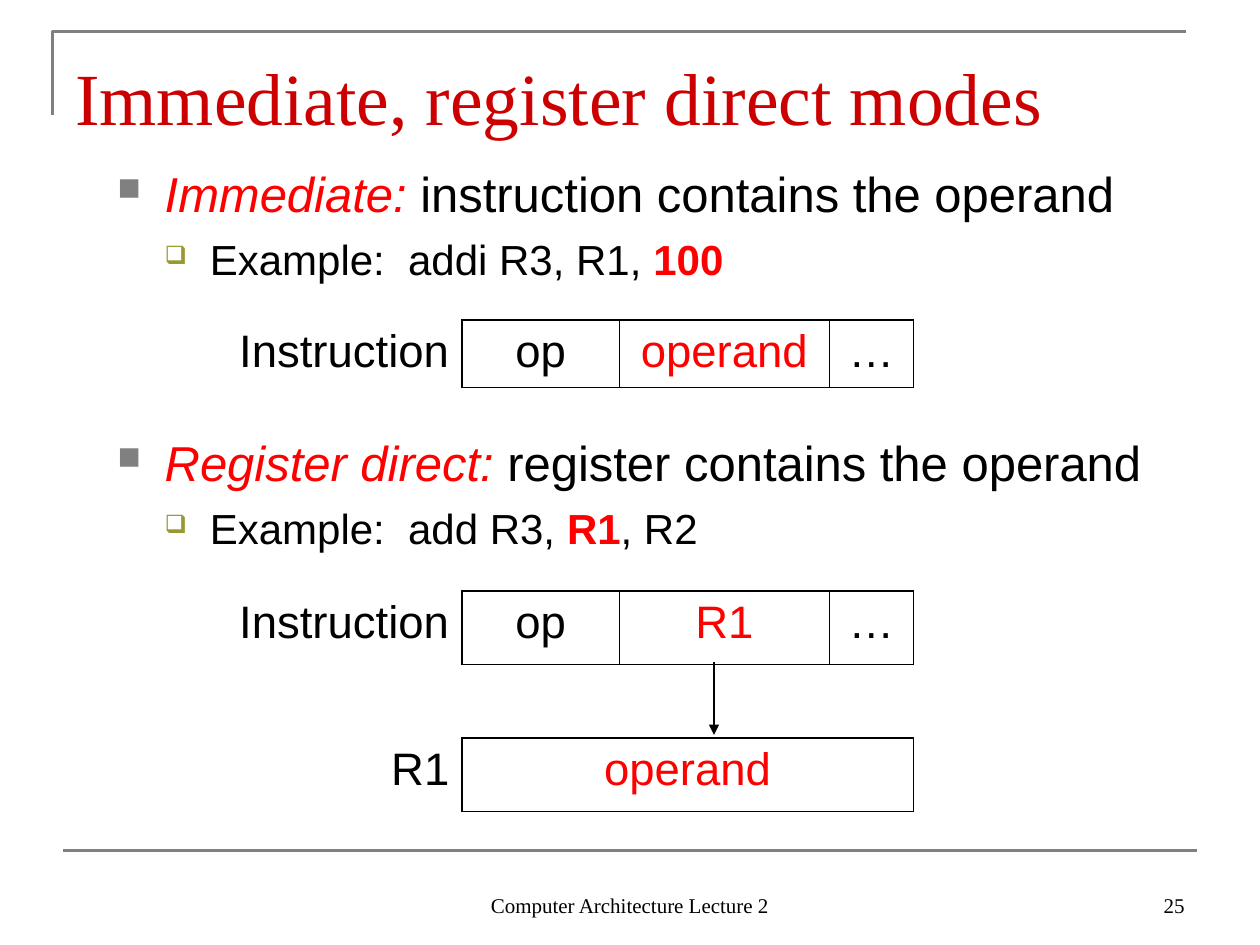
from lxml import etree
from pptx import Presentation
from pptx import util as u
from pptx.dml.color import RGBColor
from pptx.enum import shapes, text
from pptx.oxml.ns import qn

BLACK, RED, GRAY = "000000", "FF0000", "808080"
SANS, SERIF = "Arial", "Times New Roman"
THICK, THIN = 1.08, 0.45
PLAIN = "{2D5ABB26-0587-4C30-8999-92F81FD0307C}"
LEFT, MID, RIGHT = text.PP_ALIGN.LEFT, text.PP_ALIGN.CENTER, text.PP_ALIGN.RIGHT
TOP, LOW = text.MSO_ANCHOR.TOP, text.MSO_ANCHOR.BOTTOM
COLS = (27, 15, 20, 8)


def grid(n):
    return u.Inches(n / 12)


def color(code):
    return RGBColor.from_string(code)


def apply(item, **values):
    for name, value in values.items():
        setattr(item, name, value)


def add_node(parent, tag, **values):
    return etree.SubElement(parent, qn(tag), values)


def add_run(para, words, size, font=SANS, ink=BLACK, **style):
    run = para.add_run()
    run.text = words
    apply(run.font, size=u.Pt(size), name=font, **style)
    run.font.color.rgb = color(ink)


def add_box(slide, place, **frame):
    box = slide.shapes.add_textbox(*map(grid, place)).text_frame
    apply(box, word_wrap=True, **frame)
    return box


def add_label(slide, place, words, size, align, ink=BLACK, **frame):
    para = add_box(slide, place, **frame).paragraphs[0]
    para.alignment = align
    add_run(para, words, size, SERIF, ink)


def add_point(para, runs, level, space):
    size, mark, ink, share, left, hang = (
        (28, "■", GRAY, "65000", 4.5, 4.5),
        (24, "❑", "999933", "60000", 8.8, 4.3),
    )[level]
    props = para._p.get_or_add_pPr()
    apply(para, level=level, space_before=u.Pt(space))
    props.set("marL", str(grid(left)))
    props.set("indent", str(-grid(hang)))
    add_node(add_node(props, "a:buClr"), "a:srgbClr", val=ink)
    add_node(props, "a:buSzPct", val=share)
    add_node(props, "a:buChar", char=mark)
    for words, style in runs:
        add_run(para, words, size, **style)


def add_list(slide, place, points):
    box = add_box(slide, place)
    for i, (level, space, runs) in enumerate(points):
        para = box.add_paragraph() if i else box.paragraphs[0]
        add_point(para, runs, level, space)


def add_edge(cell, side, width):
    line = add_node(cell._tc.get_or_add_tcPr(), "a:ln" + side, w=str(u.Pt(width)))
    add_node(add_node(line, "a:solidFill"), "a:srgbClr", val=BLACK)


def get_edges(col, row):
    if not row[0]:
        return {"T": THICK, "B": THICK} if col else {}
    if not col:
        return {"R": THICK}
    inner = row[2]
    return {
        "L": THIN if inner and col > 1 else THICK,
        "R": THIN if inner and col < 3 else THICK,
        "T": THICK,
        "B": THICK,
    }


def add_chart_rows(slide, top, height, rows):
    frame = slide.shapes.add_table(
        len(rows), len(COLS), grid(17), grid(top), grid(sum(COLS)), grid(height * len(rows))
    )
    table = frame.table
    table._tbl.tblPr.find(qn("a:tableStyleId")).text = PLAIN
    apply(table, first_row=False, horz_banding=False)
    for col, width in zip(table.columns, COLS):
        col.width = grid(width)
    for r, row in enumerate(rows):
        table.rows[r].height = grid(height)
        if row[0] and not row[2]:
            table.cell(r, 1).merge(table.cell(r, 3))
        for c, words in enumerate(row):
            cell = table.cell(r, c)
            for side, width in get_edges(c, row).items():
                add_edge(cell, side, width)
            cell.fill.background()
            if words:
                para = cell.text_frame.paragraphs[0]
                para.alignment = MID if c else RIGHT
                hot = c == 2 or words == "operand"
                add_run(para, words, 26, ink=RED if hot else BLACK)


def add_line(slide, start, end, ink, width, arrow=False):
    line = slide.shapes.add_connector(
        shapes.MSO_CONNECTOR.STRAIGHT, *map(grid, start + end)
    )
    line.line.color.rgb = color(ink)
    line.line.width = u.Pt(width)
    if arrow:
        add_node(line.line._get_or_add_ln(), "a:tailEnd", type="triangle")
    add_node(line._element.spPr, "a:effectLst")


def add_frame(slide, points):
    first, *rest = [tuple(map(grid, point)) for point in points]
    path = slide.shapes.build_freeform(*first)
    path.add_line_segments(rest, close=False)
    frame = path.convert_to_shape()
    frame.shadow.inherit = False
    frame.fill.background()
    frame.line.color.rgb = color(GRAY)
    frame.line.width = u.Pt(1.5)


def main():
    deck = Presentation()
    apply(deck, slide_width=grid(120), slide_height=grid(90))
    slide = deck.slides.add_slide(deck.slide_layouts[6])
    term = {"ink": RED, "italic": True}
    hot = {"ink": RED, "bold": True}

    add_frame(slide, [(5, 11), (5, 3), (113, 3)])
    add_line(slide, (6, 81), (114, 81), GRAY, 1.5)
    add_label(slide, (41, 82, 38, 6), "Computer Architecture Lecture 2", 12, MID,
              vertical_anchor=LOW)
    add_label(slide, (86, 82, 28, 6), "25", 12, RIGHT, vertical_anchor=LOW)
    add_label(slide, (6, 3.6, 108, 9.4), "Immediate, register direct modes", 42, LEFT,
              "CC0000", vertical_anchor=TOP, margin_top=grid(1.4), margin_bottom=0)
    add_list(slide, (10, 15, 104, 65.4), [
        (0, 0, [("Immediate: ", term), ("instruction contains the operand", {})]),
        (1, 6, [("Example:  addi R3, R1, ", {}), ("100", hot)]),
        (0, 85.4, [("Register direct: ", term), ("register contains the operand", {})]),
        (1, 6, [("Example:  add R3, ", {}), ("R1", hot), (", R2", {})]),
    ])
    add_chart_rows(slide, 30.5, 6.4, [("Instruction", "op", "operand", "…")])
    add_chart_rows(slide, 56.3, 7, [
        ("Instruction", "op", "R1", "…"),
        ("", "", "", ""),
        ("R1", "operand", "", ""),
    ])
    add_line(slide, (68, 63), (68, 70), BLACK, 0.75, arrow=True)
    deck.save("out.pptx")


if __name__ == "__main__":
    main()
